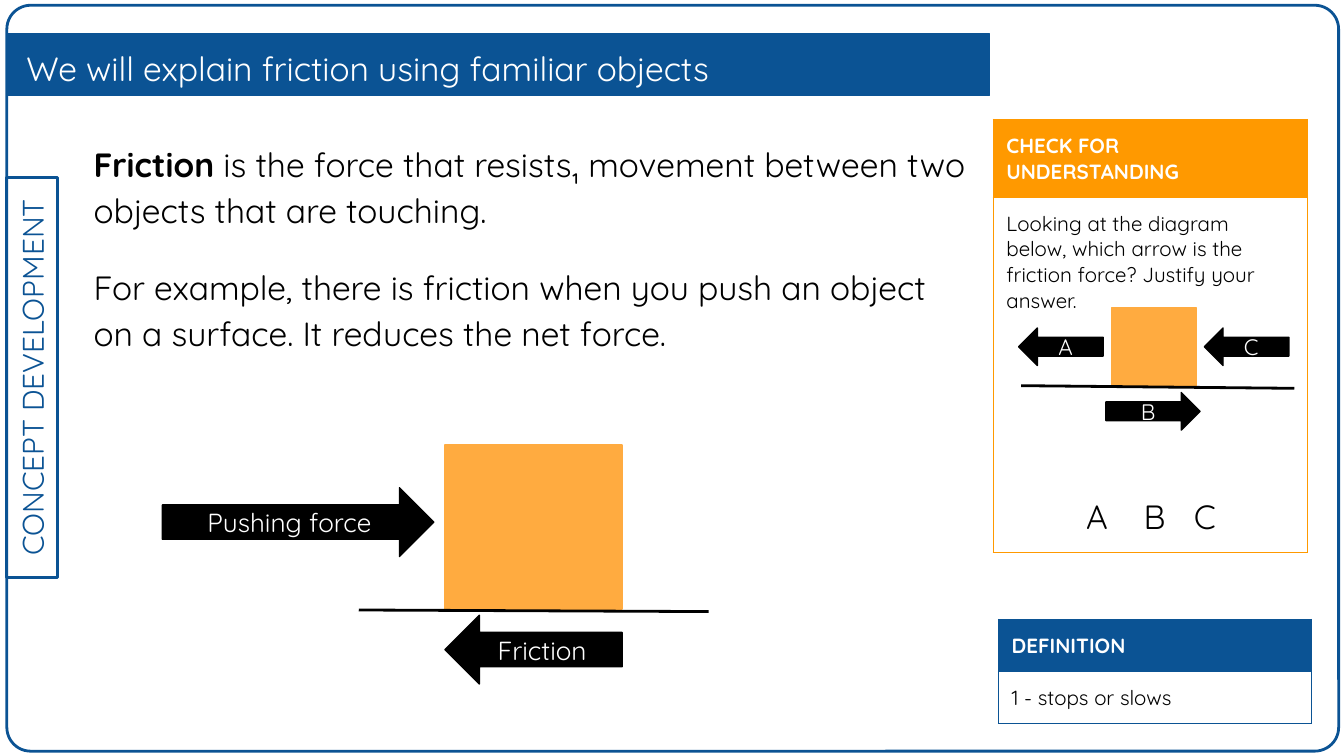
from dataclasses import dataclass
from typing import Optional

from lxml import etree
from pptx import Presentation
from pptx import util as u
from pptx.dml.color import RGBColor
from pptx.enum import shapes, text
from pptx.oxml import ns


@dataclass(frozen=True)
class Theme:
    font: str = "Quicksand"
    blue: str = "0B5394"
    orange: str = "FF9900"
    amber: str = "FFAB40"
    black: str = "000000"
    white: str = "FFFFFF"
    heading: float = 18
    tab: float = 16
    label: float = 14
    small_label: float = 12
    card: float = 11
    thick: float = 1.5
    thin: float = 0.75
    inset: float = 0.25


@dataclass(frozen=True)
class Area:
    left: float
    top: float
    width: float
    height: float

    def lengths(self) -> list:
        return [u.Cm(v) for v in (self.left, self.top, self.width, self.height)]


@dataclass(frozen=True)
class Arrow:
    label: str
    area: Area
    kind: shapes.MSO_SHAPE
    size: float


@dataclass(frozen=True)
class Card:
    area: Area
    title: str
    body: str
    color: str
    title_height: float


THEME = Theme()
LEFT, RIGHT = shapes.MSO_SHAPE.LEFT_ARROW, shapes.MSO_SHAPE.RIGHT_ARROW

BLOCKS = [Area(8.41, 8.41, 3.35, 3.1), Area(21.01, 5.82, 1.6, 1.47)]
GROUNDS = [(6.78, 11.53, 13.39, 11.56), (19.3, 7.29, 24.46, 7.34)]
ARROWS = [
    Arrow("Pushing force", Area(3.07, 9.22, 5.13, 1.3), RIGHT, THEME.label),
    Arrow("Friction", Area(8.41, 11.63, 3.35, 1.3), LEFT, THEME.label),
    Arrow("A", Area(19.25, 6.2, 1.6, 0.71), LEFT, THEME.small_label),
    Arrow("B", Area(20.9, 7.42, 1.78, 0.71), RIGHT, THEME.small_label),
    Arrow("C", Area(22.76, 6.2, 1.6, 0.71), LEFT, THEME.small_label),
]
CHECK = Card(
    Area(18.77, 2.26, 5.94, 8.18), "CHECK FOR UNDERSTANDING",
    "Looking at the diagram below, which arrow is the friction force? "
    "Justify your answer.", THEME.orange, 1.47)
DEFINITION = Card(
    Area(18.87, 11.71, 5.92, 1.96), "DEFINITION", "1 - stops or slows",
    THEME.blue, 0.98)
CHOICE_STOPS = (1.71, 2.8, 3.75)


def style(para, size: float, color: str, bold: bool = False) -> None:
    for span in para.runs:
        span.font.name = THEME.font
        span.font.size = u.Pt(size)
        span.font.bold = bold
        span.font.color.rgb = RGBColor.from_string(color)


def set_insets(holder) -> None:
    for side in ("left", "top", "right", "bottom"):
        setattr(holder, f"margin_{side}", u.Cm(THEME.inset))


def add_box(page, kind, area: Area, fill: Optional[str], line: str, width: float):
    box = page.shapes.add_shape(kind, *area.lengths())
    box.shadow.inherit = False
    if fill:
        box.fill.solid()
        box.fill.fore_color.rgb = RGBColor.from_string(fill)
    else:
        box.fill.background()
    box.line.color.rgb = RGBColor.from_string(line)
    box.line.width = u.Pt(width)
    return box


def add_label(box, words: str, size: float, color: str) -> None:
    frame = box.text_frame
    set_insets(frame)
    frame.word_wrap = True
    frame.vertical_anchor = text.MSO_ANCHOR.MIDDLE
    frame.text = words
    frame.paragraphs[0].alignment = text.PP_ALIGN.CENTER
    style(frame.paragraphs[0], size, color)


def add_text_frame(page, area: Area, anchor: text.MSO_ANCHOR):
    frame = page.shapes.add_textbox(*area.lengths()).text_frame
    set_insets(frame)
    frame.word_wrap = True
    frame.vertical_anchor = anchor
    return frame


def add_arrow(page, arrow: Arrow) -> None:
    box = add_box(page, arrow.kind, arrow.area, THEME.black, THEME.black, THEME.thin)
    add_label(box, arrow.label, arrow.size, THEME.white)


def add_ground(page, ends: tuple) -> None:
    line = page.shapes.add_connector(
        shapes.MSO_CONNECTOR.STRAIGHT, *(u.Cm(v) for v in ends))
    line.line.color.rgb = RGBColor.from_string(THEME.black)
    line.line.width = u.Pt(THEME.thick)
    etree.SubElement(line._element.spPr, ns.qn("a:effectLst"))


def add_borders(cell, color: str) -> None:
    properties = cell._tc.get_or_add_tcPr()
    for side in ("lnL", "lnR", "lnT", "lnB"):
        edge = etree.SubElement(
            properties, ns.qn(f"a:{side}"), w=str(u.Pt(THEME.thin)))
        fill = etree.SubElement(edge, ns.qn("a:solidFill"))
        etree.SubElement(fill, ns.qn("a:srgbClr"), val=color)


def add_card(page, card: Card):
    table = page.shapes.add_table(2, 1, *card.area.lengths()).table
    table.first_row = table.horz_banding = False
    table.rows[0].height = u.Cm(card.title_height)
    table.rows[1].height = u.Cm(card.area.height - card.title_height)
    title, body = table.cell(0, 0), table.cell(1, 0)
    for cell, words in ((title, card.title), (body, card.body)):
        add_borders(cell, card.color)
        set_insets(cell)
        cell.text_frame.text = words
    title.fill.solid()
    title.fill.fore_color.rgb = RGBColor.from_string(card.color)
    body.fill.background()
    style(title.text_frame.paragraphs[0], THEME.card, THEME.white, True)
    style(body.text_frame.paragraphs[0], THEME.card, THEME.black)
    return body


def add_choices(cell) -> None:
    para = cell.text_frame.add_paragraph()
    para.text = "\tA\tB\tC"
    para.space_before = u.Pt(97.5)
    stops = etree.SubElement(para._p.get_or_add_pPr(), ns.qn("a:tabLst"))
    for stop in CHOICE_STOPS:
        etree.SubElement(stops, ns.qn("a:tab"), pos=str(u.Cm(stop)), algn="ctr")
    style(para, THEME.heading, THEME.black)


def add_explanation(page) -> None:
    frame = add_text_frame(page, Area(1.52, 2.36, 17.15, 5.94), text.MSO_ANCHOR.TOP)
    frame.text = "Friction"
    meaning = frame.paragraphs[0]
    meaning.add_run().text = (
        " is the force that resists₁ movement between two objects that are touching.")
    example = frame.add_paragraph()
    example.text = ("For example, there is friction when you push an object "
                    "on a surface. It reduces the net force.")
    example.space_before = u.Pt(16)
    for para in (meaning, example):
        para.line_spacing = 1.15
        style(para, THEME.heading, THEME.black)
    meaning.runs[0].font.bold = True


def add_surround(page) -> None:
    rectangle = shapes.MSO_SHAPE.RECTANGLE
    border = add_box(page, shapes.MSO_SHAPE.ROUNDED_RECTANGLE,
                     Area(0.13, 0.1, 25.17, 14.1), None, THEME.blue, THEME.thick)
    border.adjustments[0] = 0.032
    tab = add_box(page, rectangle, Area(-3.18, 6.65, 7.57, 0.97),
                  None, THEME.blue, THEME.thick)
    tab.rotation = 270
    add_label(tab, "CONCEPT DEVELOPMENT", THEME.tab, THEME.blue)
    add_box(page, rectangle, Area(0.13, 0.64, 18.57, 1.17),
            THEME.blue, THEME.blue, THEME.thin)
    title = add_text_frame(page, Area(0.25, 0.74, 18.31, 0.97), text.MSO_ANCHOR.MIDDLE)
    title.text = "We will explain friction using familiar objects"
    title.paragraphs[0].line_spacing = 1.15
    style(title.paragraphs[0], THEME.heading, THEME.white)


def main() -> None:
    deck = Presentation()
    deck.slide_width, deck.slide_height = u.Cm(25.4), u.Cm(14.29)
    page = deck.slides.add_slide(deck.slide_layouts[6])
    add_surround(page)
    add_explanation(page)
    add_choices(add_card(page, CHECK))
    add_card(page, DEFINITION)
    for block in BLOCKS:
        add_box(page, shapes.MSO_SHAPE.RECTANGLE, block,
                THEME.amber, THEME.amber, THEME.thin)
    for arrow in ARROWS:
        add_arrow(page, arrow)
    for ground in GROUNDS:
        add_ground(page, ground)
    deck.save("out.pptx")


if __name__ == "__main__":
    main()
